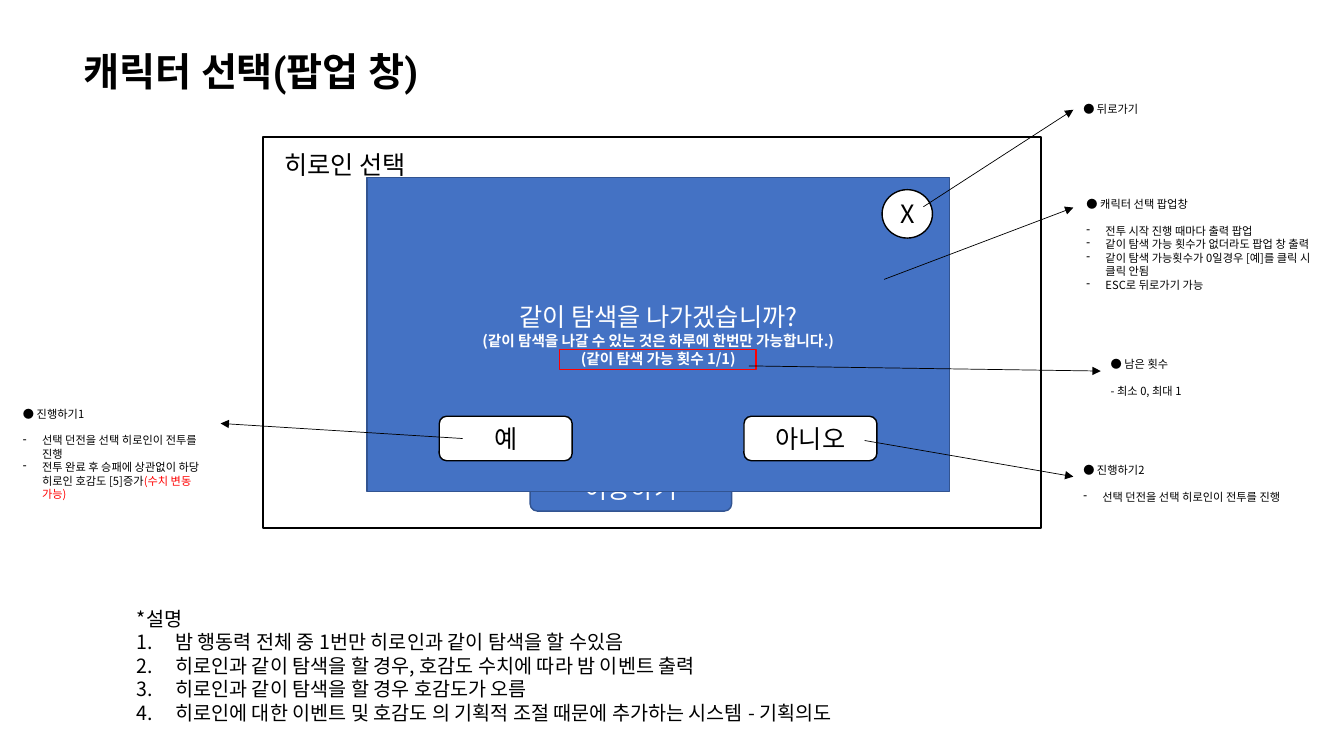
from lxml.etree import SubElement
from pptx import Presentation
from pptx.dml.color import RGBColor
from pptx.enum.shapes import MSO_CONNECTOR, MSO_SHAPE
from pptx.enum.text import MSO_ANCHOR, MSO_AUTO_SIZE, PP_ALIGN
from pptx.oxml.ns import qn
from pptx.util import Cm, Pt

BLACK = RGBColor(0x00, 0x00, 0x00)
WHITE = RGBColor(0xFF, 0xFF, 0xFF)
RED = RGBColor(0xFF, 0x00, 0x00)
BLUE = RGBColor(0x44, 0x72, 0xC4)
NAVY = RGBColor(0x32, 0x54, 0x91)
SANS = "Noto Sans CJK KR"
DASH = ("a:buChar", "char", "-")
COUNT = ("a:buAutoNum", "type", "arabicPeriod")


def add_run(para, text, size=18, color=BLACK, bold=False, face=SANS):
    """Add text to a paragraph with its format."""
    run = para.add_run()
    run.text = text
    font = run.font
    font.name, font.size, font.bold = face, Pt(size), bold
    font.color.rgb = color
    SubElement(run._r.get_or_add_rPr(), qn("a:ea")).set("typeface", face)


def add_para(frame, first=False, align=PP_ALIGN.LEFT, after=0):
    para = frame.paragraphs[0] if first else frame.add_paragraph()
    para.alignment = align
    para.space_after = Pt(after)
    return para


def set_mark(para, mark, indent):
    """Give a paragraph a bullet or number with a hanging indent."""
    tag, key, value = mark
    props = para._p.get_or_add_pPr()
    props.set("marL", str(Cm(indent)))
    props.set("indent", str(-Cm(indent)))
    SubElement(props, qn(tag)).set(key, value)


def add_shape(slide, kind, place, fill=None, line=BLACK):
    shape = slide.shapes.add_shape(kind, *map(Cm, place))
    shape.shadow.inherit = False
    if fill is None:
        shape.fill.background()
    else:
        shape.fill.solid()
        shape.fill.fore_color.rgb = fill
    shape.line.color.rgb = line
    shape.line.width = Pt(1)
    return shape


def add_button(slide, kind, place, *lines, fill=WHITE, line=BLACK, color=BLACK):
    """Add a shape with a main line and smaller bold lines below it."""
    frame = add_shape(slide, kind, place, fill, line).text_frame
    frame.word_wrap = True
    frame.vertical_anchor = MSO_ANCHOR.MIDDLE
    for row, text in enumerate(lines):
        para = add_para(frame, row == 0, PP_ALIGN.CENTER)
        add_run(para, text, size=10.5 if row else 18, color=color, bold=row > 0)


def add_note(slide, place, head, items=(), size=8, mark=DASH, indent=0.48, gap=9.6):
    """Add a heading with a list; an item is its text and an optional red end."""
    box = slide.shapes.add_textbox(*map(Cm, place))
    frame = box.text_frame
    frame.word_wrap = True
    frame.auto_size = MSO_AUTO_SIZE.SHAPE_TO_FIT_TEXT
    add_run(add_para(frame, True, after=gap if items else 0), head, size=size)
    for text, *ends in items:
        para = add_para(frame)
        if mark:
            set_mark(para, mark, indent)
        add_run(para, text, size=size)
        for end in ends:
            add_run(para, end, size=size, color=RED)
    return box


def add_arrow(slide, *ends):
    arrow = slide.shapes.add_connector(MSO_CONNECTOR.STRAIGHT, *map(Cm, ends))
    arrow.line.color.rgb = BLACK
    arrow.line.width = Pt(0.5)
    SubElement(arrow.line._get_or_add_ln(), qn("a:tailEnd")).set("type", "triangle")
    SubElement(arrow._element.spPr, qn("a:effectLst"))
    return arrow


def add_title(slide, text):
    title = slide.shapes.title
    title.left, title.top, title.width, title.height = map(Cm, (1.85, 1.07, 10.24, 1.45))
    frame = title.text_frame
    frame.word_wrap = True
    frame.auto_size = MSO_AUTO_SIZE.NONE
    frame.vertical_anchor = MSO_ANCHOR.TOP
    add_run(add_para(frame, True), text, size=28, bold=True, face="Roboto")


def main():
    deck = Presentation()
    deck.slide_width, deck.slide_height = Cm(33.87), Cm(19.05)
    slide = deck.slides.add_slide(deck.slide_layouts[5])
    add_title(slide, "캐릭터 선택(팝업 창)")

    # Game screen
    add_shape(slide, MSO_SHAPE.RECTANGLE, (6.63, 3.45, 19.61, 9.86))
    add_note(slide, (6.91, 3.63, 4.47, 1.02), "히로인 선택", size=18)
    add_button(slide, MSO_SHAPE.ROUNDED_RECTANGLE, (13.36, 11.76, 5.08, 1.12),
               "이동하기", fill=BLUE, line=NAVY, color=WHITE)

    # Popup with its buttons
    add_button(slide, MSO_SHAPE.RECTANGLE, (9.25, 4.47, 14.68, 7.92),
               "같이 탐색을 나가겠습니까?",
               "(같이 탐색을 나갈 수 있는 것은 하루에 한번만 가능합니다.)",
               "(같이 탐색 가능 횟수 1/1)",
               fill=BLUE, line=NAVY, color=WHITE)
    for left, text in ((11.07, "예"), (18.75, "아니오")):
        add_button(slide, MSO_SHAPE.ROUNDED_RECTANGLE, (left, 10.49, 3.35, 1.12), text)
    add_shape(slide, MSO_SHAPE.RECTANGLE, (14.1, 8.81, 4.95, 0.51), line=RED)
    add_button(slide, MSO_SHAPE.OVAL, (22.23, 4.78, 1.27, 1.22), "X")

    # Description
    add_note(slide, (3.2, 15.16, 23.85, 3.25), "*설명", [
        ("밤 행동력 전체 중 1번만 히로인과 같이 탐색을 할 수있음",),
        ("히로인과 같이 탐색을 할 경우, 호감도 수치에 따라 밤 이벤트 출력",),
        ("히로인과 같이 탐색을 할 경우 호감도가 오름",),
        ("히로인에 대한 이벤트 및 호감도 의 기획적 조절 때문에 추가하는 시스템 - 기획의도",),
    ], size=14, mark=COUNT, indent=0.97, gap=0)

    # Callouts
    add_note(slide, (27.13, 4.85, 6.3, 3), "● 캐릭터 선택 팝업창", [
        ("전투 시작 진행 때마다 출력 팝업",),
        ("같이 탐색 가능 횟수가 없더라도 팝업 창 출력",),
        ("같이 탐색 가능횟수가 0일경우 [예]를 클릭 시 클릭 안됨",),
        ("ESC로 뒤로가기 가능",),
    ])
    add_note(slide, (27.05, 11.56, 6.3, 1.27), "● 진행하기2",
             [("선택 던전을 선택 히로인이 전투를 진행",)])
    add_note(slide, (0.33, 10.13, 5.18, 2.64), "● 진행하기1", [
        ("선택 던전을 선택 히로인이 전투를 진행",),
        ("전투 완료 후 승패에 상관없이 하당 히로인 호감도 [5]증가", "(수치 변동 가능)"),
    ])
    add_note(slide, (27.74, 8.89, 3.84, 1.27), "● 남은 횟수",
             [("- 최소 0, 최대 1",)], mark=None)
    back = add_note(slide, (27.05, 2.46, 2.26, 0.61), "● 뒤로가기")

    # Arrows to the callouts
    for ends in ((22.28, 7.04, 27.05, 5.23), (21.79, 11.1, 27.05, 12.01),
                 (11.66, 11.05, 5.56, 10.67), (18.87, 9.22, 27.74, 9.35)):
        add_arrow(slide, *ends)
    add_arrow(slide, 23.27, 5.21, 27.05, 2.77).end_connect(back, 1)

    deck.save("out.pptx")


if __name__ == "__main__":
    main()
